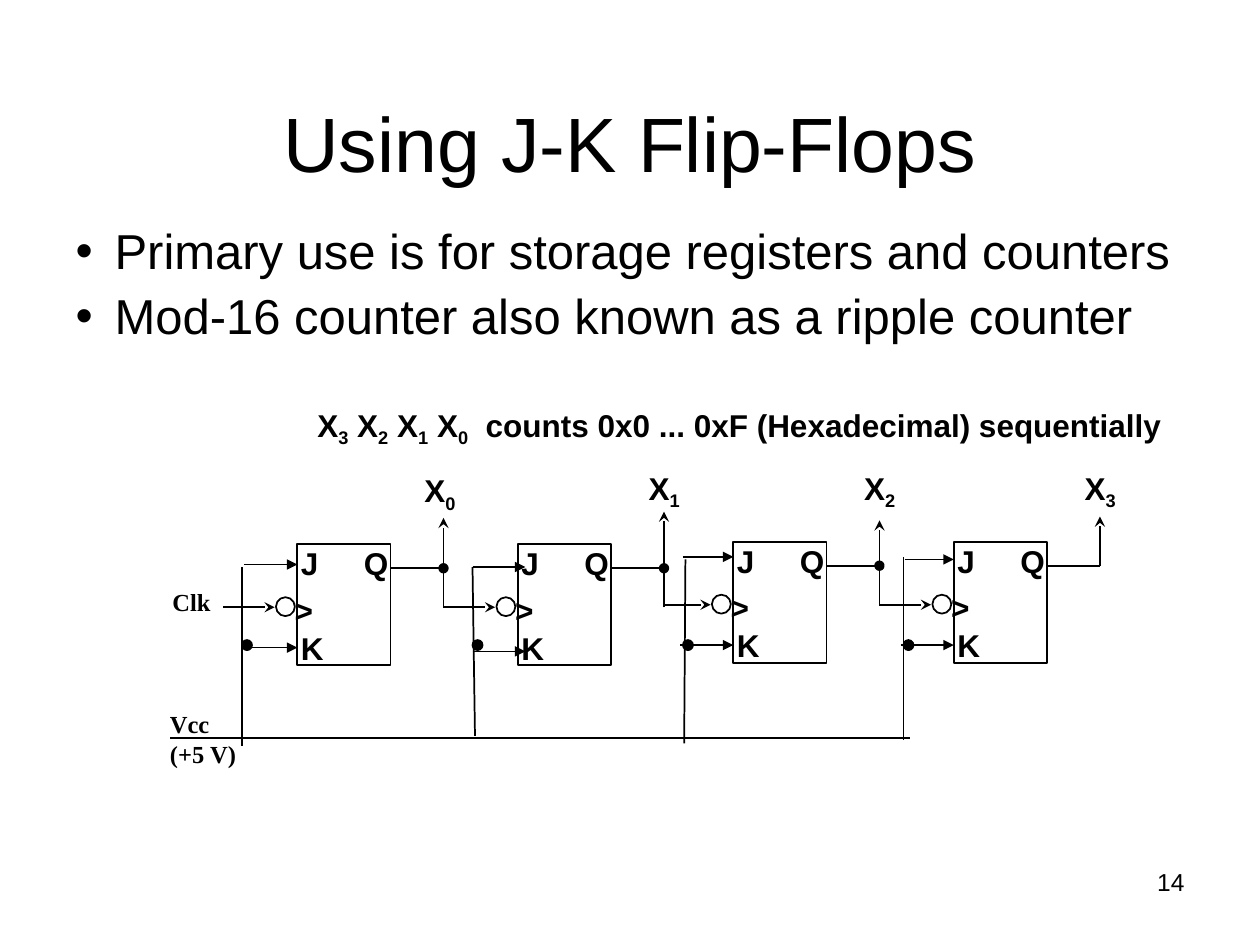
from dataclasses import dataclass

from lxml.etree import SubElement
from pptx import Presentation
from pptx.dml.color import RGBColor as RGB
from pptx.enum.shapes import MSO_CONNECTOR as CONN, MSO_SHAPE as SHAPE
from pptx.enum.text import MSO_ANCHOR as ANCHOR, MSO_AUTO_SIZE as FIT, PP_ALIGN as ALIGN
from pptx.oxml.ns import qn
from pptx.util import Inches, Pt

W, H = 10, 7.5


@dataclass(frozen=True)
class Theme:
    ink: RGB = RGB(0, 0, 0)
    paper: RGB = RGB(255, 255, 255)
    sans: str = "Arial"
    serif: str = "Times New Roman"
    title: int = 44
    body: int = 28
    label: int = 18
    small: int = 14
    line: float = 1
    thin: float = 0.75
    node: float = 3


T = Theme()
LABEL = {"name": T.sans, "size": Pt(T.label), "bold": True}
SIGNAL = {"name": T.serif, "size": Pt(T.small), "bold": True}
NUMBER = {"name": T.sans, "size": Pt(T.small)}
TITLE = {"name": T.sans, "size": Pt(T.title)}
BODY = {"name": T.sans, "size": Pt(T.body)}

# Columns and rows of one stage, measured from the flip-flop's top left corner
BOX = (0.74, 0.96)
OUT_COL = 1.16
Q_ROW, CLK_ROW = 0.19, 0.5
BUBBLE = 0.15
PINS = [("J", -0.07, -0.05, 0.34), (">", -0.12, 0.32, 0.35),
        ("K", -0.07, 0.62, 0.38), ("Q", 0.43, -0.05, 0.4)]
K_NODE_ROW, VCC_ROW = 5.12, 5.86


@dataclass(frozen=True)
class Stage:
    x: float        # flip-flop corner
    y: float
    tip: float      # top of the output arrow
    label: tuple    # corner of the output name
    j: float        # heights of the J and K inputs
    k: float
    feed: tuple     # left ends of the J and K inputs
    tie: float      # left edge of the supply node
    rail: tuple     # supply rail: bottom x, y, top x, y
    width: float = T.line
    reach: float = 0  # how far the J and K arrows enter the box


STAGES = [
    Stage(2.36, 4.32, 4.11, (3.27, 3.69), 4.48, 5.14, (1.94, 1.94), 1.92,
          (1.92, 5.92, 1.92, 4.5)),
    Stage(4.11, 4.32, 4.06, (5.05, 3.67), 4.5, 5.17, (3.75, 3.75), 3.75,
          (3.77, 5.84, 3.75, 4.5), reach=0.06),
    Stage(5.82, 4.3, 4.13, (6.76, 3.67), 4.42, 5.12, (5.42, 5.4), 5.42,
          (5.43, 5.9, 5.44, 4.44)),
    Stage(7.57, 4.3, 4.1, (8.51, 3.67), 4.44, 5.12, (7.18, 7.15), 7.17,
          (7.17, 5.87, 7.17, 4.42), T.thin),
]


def set_attrs(obj, values):
    for name, value in values.items():
        setattr(obj, name, value)


def add_run(p, text, style, sub=False):
    r = p.add_run()
    r.text = text
    set_attrs(r.font, style)
    r.font.color.rgb = T.ink
    if sub:
        r.font._element.set("baseline", "-25000")


def add_text(s, box, pieces, style, wrap=True, fit=FIT.SHAPE_TO_FIT_TEXT, **para):
    """Text box; every second piece is a subscript."""
    tf = s.shapes.add_textbox(*map(Inches, box)).text_frame
    set_attrs(tf, {"word_wrap": wrap, "auto_size": fit})
    p = tf.paragraphs[0]
    set_attrs(p, para)
    for i, piece in enumerate(pieces):
        add_run(p, piece, style, sub=i % 2 == 1)


def add_shape(s, kind, box, fill, width=T.line):
    sp = s.shapes.add_shape(kind, *map(Inches, box))
    sp.shadow.inherit = False
    sp.fill.solid()
    sp.fill.fore_color.rgb = fill
    sp.line.color.rgb = T.ink
    sp.line.width = Pt(width)


def add_node(s, cx, cy, size, width=T.line):
    add_shape(s, SHAPE.OVAL, (cx - size / 2, cy - size / 2, size, size), T.ink, width)


def add_wire(s, x1, y1, x2, y2, arrow=None, width=T.line):
    c = s.shapes.add_connector(CONN.STRAIGHT, *map(Inches, (x1, y1, x2, y2)))
    c.line.color.rgb = T.ink
    c.line.width = Pt(width)
    if arrow:
        SubElement(c.line._get_or_add_ln(), qn("a:tailEnd"), type=arrow)
    SubElement(c._element.spPr, qn("a:effectLst"))


def fill_placeholder(ph, shares, lines, style, anchor, **para):
    left, top, width, height = shares
    set_attrs(ph, {"left": Inches(left * W), "top": Inches(top * H),
                   "width": Inches(width * W), "height": Inches(height * H)})
    tf = ph.text_frame
    set_attrs(tf, {"auto_size": FIT.NONE, "vertical_anchor": anchor, "word_wrap": True})
    for i, line in enumerate(lines):
        p = tf.add_paragraph() if i else tf.paragraphs[0]
        set_attrs(p, {"line_spacing": 0.9, **para})
        add_run(p, line, style)
    return tf


def add_bullets(tf, indent):
    for p in tf.paragraphs:
        pPr = p._p.get_or_add_pPr()
        pPr.set("marL", str(Inches(indent)))
        pPr.set("indent", str(-Inches(indent)))
        SubElement(pPr, qn("a:buChar"), char="•")


def add_flip_flop(s, st):
    add_shape(s, SHAPE.RECTANGLE, (st.x, st.y, *BOX), T.paper)
    add_shape(s, SHAPE.OVAL, (st.x - 0.17, st.y + 0.42, BUBBLE, BUBBLE), T.paper)
    for name, dx, dy, width in PINS:
        add_text(s, (st.x + dx, st.y + dy, width, 0.4), [name], LABEL, wrap=False)


def add_output(s, st, bit, last):
    x, q = st.x + OUT_COL, st.y + Q_ROW
    add_wire(s, st.x + BOX[0], q, x, q)
    add_wire(s, x, q if last else st.y + CLK_ROW, x, st.tip, "stealth")
    add_text(s, (*st.label, 0.45, 0.44), ["X", str(bit)], LABEL, wrap=False)
    if not last:
        add_node(s, x, q, 0.04, T.node)


def add_inputs(s, st, clock_x):
    clk = st.y + CLK_ROW
    add_wire(s, clock_x, clk, st.x - 0.18, clk, "stealth")
    for start, y in zip(st.feed, (st.j, st.k)):
        add_wire(s, start, y, st.x + st.reach, y, "triangle")
    add_wire(s, *st.rail, width=st.width)
    add_node(s, st.tie + 0.04, K_NODE_ROW, 0.08)


def main():
    prs = Presentation()
    prs.slide_width, prs.slide_height = Inches(W), Inches(H)
    s = prs.slides.add_slide(prs.slide_layouts[1])

    # Title and list
    fill_placeholder(s.shapes.title, (0.05, 0.04, 0.9, 1 / 6), ["Using J-K Flip-Flops"],
                     TITLE, ANCHOR.BOTTOM, alignment=ALIGN.CENTER)
    tf = fill_placeholder(s.placeholders[1], (0.05, 7 / 30, 0.9, 0.2),
                          ["Primary use is for storage registers and counters",
                           "Mod-16 counter also known as a ripple counter"],
                          BODY, ANCHOR.TOP, space_before=Pt(7))
    add_bullets(tf, 0.31)

    # Ripple counter: each output clocks the next stage
    clock_x = 1.77
    for bit, st in enumerate(STAGES):
        add_flip_flop(s, st)
        add_output(s, st, bit, last=st is STAGES[-1])
        add_inputs(s, st, clock_x)
        clock_x = st.x + OUT_COL
    add_wire(s, 1.35, VCC_ROW, 7.22, VCC_ROW)

    # Captions
    add_text(s, (2.42, 3.17, 7.04, 0.44),
             ["X", "3", " X", "2", " X", "1", " X", "0",
              "  counts 0x0 ... 0xF (Hexadecimal) sequentially"], LABEL)
    for text, top, height, left in (("Vcc (+5 V)", 5.58, 0.57, 1.25),
                                    ("Clk", 4.61, 0.34, 1.27)):
        add_text(s, (left, top, 0.75, height), [text], SIGNAL, space_before=Pt(8.8))

    # Slide number
    add_text(s, (7.17, 6.83, 2.33, 0.52), ["14"], NUMBER, fit=FIT.NONE,
             alignment=ALIGN.RIGHT)

    prs.save("out.pptx")


if __name__ == "__main__":
    main()
